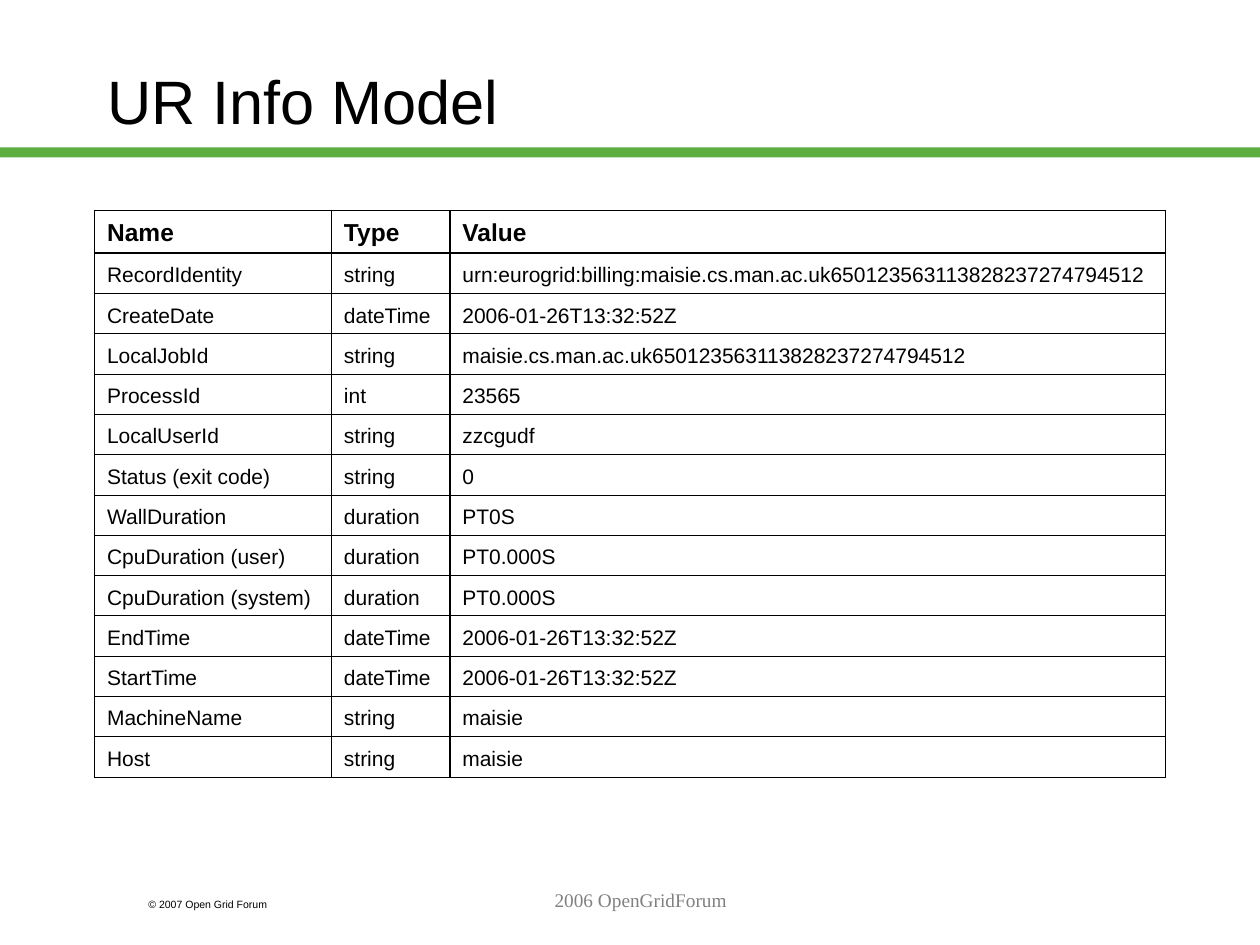
from dataclasses import dataclass

from lxml.etree import SubElement
from pptx import Presentation
from pptx.dml.color import RGBColor
from pptx.enum.shapes import MSO_SHAPE
from pptx.enum.text import MSO_ANCHOR, MSO_AUTO_SIZE, PP_ALIGN
from pptx.oxml.ns import qn
from pptx.util import Inches, Pt


@dataclass(frozen=True)
class Theme:
    ink: str = "000000"
    muted: str = "808080"
    accent: str = "5DAD41"
    sans: str = "Arial"
    serif: str = "Times New Roman"
    title_size: float = 35
    header_size: float = 14
    body_size: float = 12
    footer_size: float = 11
    copyright_size: float = 6
    thin: float = 0.45
    heavy: float = 0.96


COLUMN_WIDTHS = [1.88, 0.94, 5.68]
HEADER_HEIGHT, ROW_HEIGHT = 0.34, 0.32
HANGING_INDENT = 0.38
RECORD = [
    ("Name", "Type", "Value"),
    ("RecordIdentity", "string",
     "urn:eurogrid:billing:maisie.cs.man.ac.uk650123563113828237274794512"),
    ("CreateDate", "dateTime", "2006-01-26T13:32:52Z"),
    ("LocalJobId", "string", "maisie.cs.man.ac.uk650123563113828237274794512"),
    ("ProcessId", "int", "23565"),
    ("LocalUserId", "string", "zzcgudf"),
    ("Status (exit code)", "string", "0"),
    ("WallDuration", "duration", "PT0S"),
    ("CpuDuration (user)", "duration", "PT0.000S"),
    ("CpuDuration (system)", "duration", "PT0.000S"),
    ("EndTime", "dateTime", "2006-01-26T13:32:52Z"),
    ("StartTime", "dateTime", "2006-01-26T13:32:52Z"),
    ("MachineName", "string", "maisie"),
    ("Host", "string", "maisie"),
]


class SlideBuilder:
    def __init__(self, slide, theme):
        self.slide = slide
        self.theme = theme

    def style(self, paragraph, size, color=None, face=None, bold=False,
              align=PP_ALIGN.LEFT):
        paragraph.alignment = align
        font = paragraph.font
        font.size, font.bold = Pt(size), bold
        font.name = face or self.theme.sans
        font.color.rgb = RGBColor.from_string(color or self.theme.ink)

    def title(self, text, left, top, width, height):
        heading = self.slide.shapes.title
        heading.left, heading.top = Inches(left), Inches(top)
        heading.width, heading.height = Inches(width), Inches(height)
        frame = heading.text_frame
        frame.text = text
        frame.auto_size = MSO_AUTO_SIZE.NONE
        frame.vertical_anchor = MSO_ANCHOR.MIDDLE
        self.style(frame.paragraphs[0], self.theme.title_size)

    def bar(self, left, top, width, height):
        rule = self.slide.shapes.add_shape(
            MSO_SHAPE.RECTANGLE, Inches(left), Inches(top), Inches(width), Inches(height))
        rule.shadow.inherit = False
        rule.fill.solid()
        rule.fill.fore_color.rgb = RGBColor.from_string(self.theme.accent)
        rule.line.fill.background()

    def text(self, text, left, top, width, height, size, **style):
        frame = self.slide.shapes.add_textbox(
            Inches(left), Inches(top), Inches(width), Inches(height)).text_frame
        frame.word_wrap = True
        frame.text = text
        self.style(frame.paragraphs[0], size, **style)

    def borders(self, cell, widths):
        """Draw the cell edges; widths run left, right, top, bottom."""
        properties = cell._tc.get_or_add_tcPr()
        for edge, width in zip("LRTB", widths):
            line = SubElement(properties, qn(f"a:ln{edge}"), w=str(Pt(width)))
            fill = SubElement(line, qn("a:solidFill"))
            SubElement(fill, qn("a:srgbClr"), val=self.theme.ink)

    def table(self, rows, left, top, column_widths, header_height, row_height):
        theme = self.theme
        height = header_height + row_height * (len(rows) - 1)
        grid = self.slide.shapes.add_table(
            len(rows), len(column_widths), Inches(left), Inches(top),
            Inches(sum(column_widths)), Inches(height)).table
        grid.horz_banding = False
        for column, width in zip(grid.columns, column_widths):
            column.width = Inches(width)

        # Heavy rules run below the header and before the last column
        last = len(column_widths) - 1
        column_edges = [theme.heavy if c == last else theme.thin for c in range(last + 2)]
        row_edges = [theme.heavy if r == 1 else theme.thin for r in range(len(rows) + 1)]

        for r, values in enumerate(rows):
            header = r == 0
            grid.rows[r].height = Inches(header_height if header else row_height)
            for c, value in enumerate(values):
                cell = grid.cell(r, c)
                cell.text = value
                cell.vertical_anchor = MSO_ANCHOR.BOTTOM
                self.borders(cell, column_edges[c:c + 2] + row_edges[r:r + 2])
                cell.fill.background()
                paragraph = cell.text_frame.paragraphs[0]
                layout = paragraph._p.get_or_add_pPr()
                layout.set("marL", str(Inches(HANGING_INDENT)))
                layout.set("indent", str(-Inches(HANGING_INDENT)))
                self.style(paragraph, theme.header_size if header else theme.body_size,
                           bold=header)


def main():
    presentation = Presentation()
    presentation.slide_width, presentation.slide_height = Inches(10), Inches(7.5)
    theme = Theme()
    builder = SlideBuilder(
        presentation.slides.add_slide(presentation.slide_layouts[5]), theme)

    # Heading and green rule
    builder.bar(0, 1.17, 10, 0.08)
    builder.title("UR Info Model", 0.75, 0.17, 8.5, 1.25)

    # Usage record fields
    builder.table(RECORD, 0.75, 1.67, COLUMN_WIDTHS, HEADER_HEIGHT, ROW_HEIGHT)

    # Footer
    builder.text("© 2007 Open Grid Forum", 1.08, 7.08, 1.5, 0.2, theme.copyright_size)
    builder.text("2006 OpenGridForum", 2.17, 7, 5.83, 0.5, theme.footer_size,
                 color=theme.muted, face=theme.serif, align=PP_ALIGN.CENTER)

    presentation.save("out.pptx")


if __name__ == "__main__":
    main()
